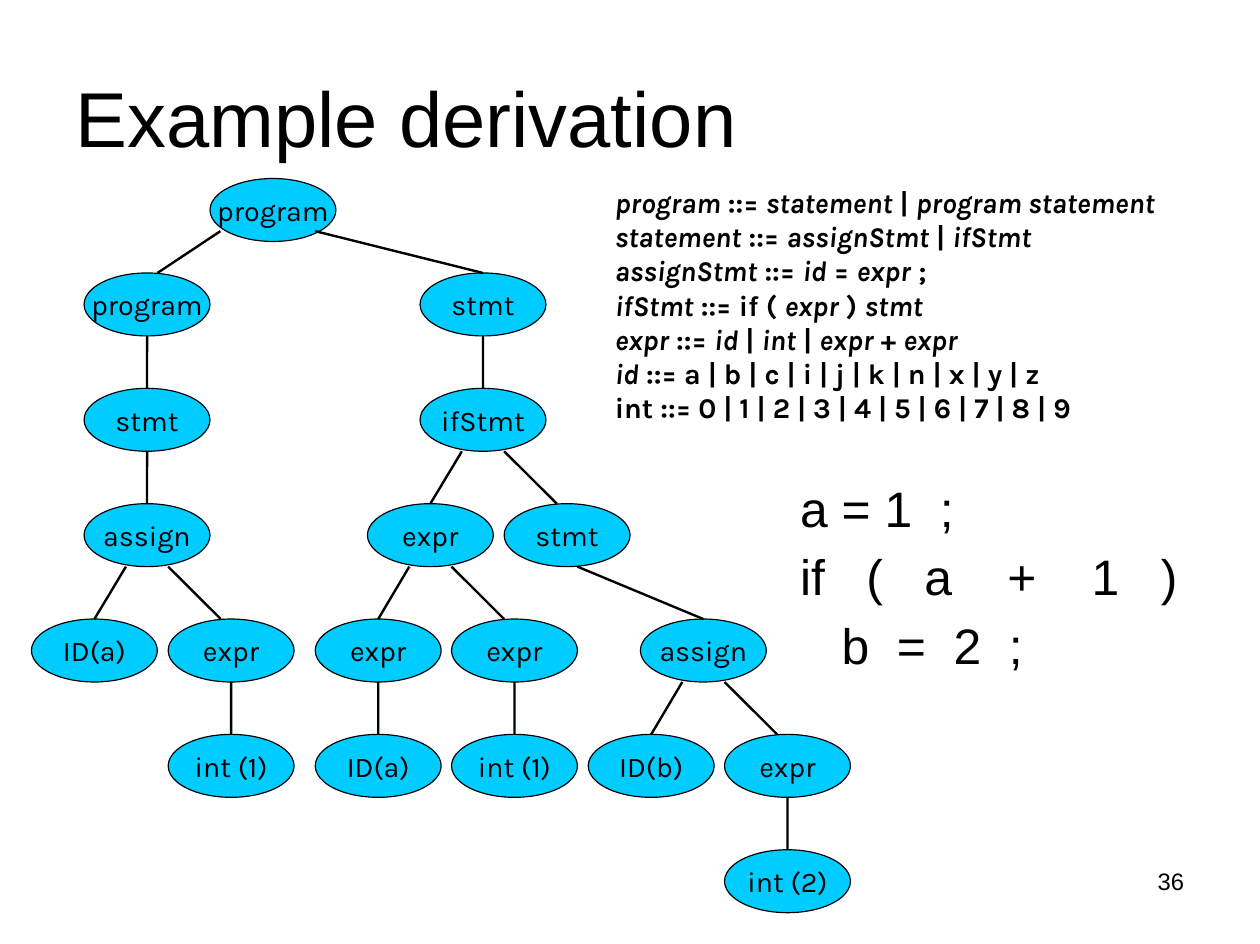
from dataclasses import dataclass
from typing import NamedTuple

from lxml import etree
from pptx import Presentation
from pptx import util as u
from pptx.dml.color import RGBColor
from pptx.enum import shapes, text
from pptx.oxml.ns import qn

COLOURS = {"ink": "000000", "node": "00CCFF"}
SLIDE_WIDTH, SLIDE_HEIGHT = u.Emu(10085388), u.Emu(7556500)
NODE_WIDTH, NODE_HEIGHT = 2.8, 1.4
ROOT_TOP, FIRST_TOP, LEVEL_STEP = 3.97, 6.07, 2.565


class Branch(NamedTuple):
    """Offsets in cm: start from the parent's bottom, end from the child's top."""
    start: float = 0
    rise: float = 0
    end: float = 0


STRAIGHT = Branch()
LEFT = Branch(start=-0.47)
RIGHT = Branch(start=0.47, end=-0.23)
SLANT = Branch(start=0.23)
ROOT_LEFT = Branch(start=-1.17, rise=0.23, end=0.23)
ROOT_RIGHT = Branch(start=0.94, rise=0.23)


@dataclass
class Node:
    label: str
    centre: float
    branch: Branch = STRAIGHT
    children: tuple["Node", ...] = ()


class Area(NamedTuple):
    left: float
    top: float
    width: float
    height: float


TREE = Node("program", 6.07, children=(
    Node("program", 3.27, ROOT_LEFT, (
        Node("stmt", 3.27, children=(
            Node("assign", 3.27, children=(
                Node("ID(a)", 2.1, LEFT),
                Node("expr", 5.14, RIGHT, (Node("int (1)", 5.14),)),
            )),
        )),
    )),
    Node("stmt", 10.74, ROOT_RIGHT, (
        Node("ifStmt", 10.74, children=(
            Node("expr", 9.57, LEFT, (
                Node("expr", 8.41, LEFT, (Node("ID(a)", 8.41),)),
                Node("expr", 11.44, RIGHT, (Node("int (1)", 11.44),)),
            )),
            Node("stmt", 12.61, RIGHT, (
                Node("assign", 15.64, SLANT, (
                    Node("ID(b)", 14.48, LEFT),
                    Node("expr", 17.51, RIGHT, (Node("int (2)", 17.51),)),
                )),
            )),
        )),
    )),
))

# Asterisks enclose the italic words
GRAMMAR = (
    "*program* ::= *statement* | *program statement*",
    "*statement* ::= *assignStmt* | *ifStmt*",
    "*assignStmt* ::= *id* = *expr* ;",
    "*ifStmt* ::= if ( *expr* ) *stmt*",
    "*expr* ::= *id* | *int* | *expr* + *expr*",
    "*id* ::= a | b | c | i | j | k | n | x | y | z",
    "int ::= 0 | 1 | 2 | 3 | 4 | 5 | 6 | 7 | 8 | 9",
)
CODE = "a = 1  ;\nif   (   a    +    1   )\n   b  =  2  ;"


def colour(name: str) -> RGBColor:
    return RGBColor.from_string(COLOURS[name])


def place(box, area: Area) -> None:
    box.left, box.top, box.width, box.height = map(u.Cm, area)


def set_frame(frame, anchor=text.MSO_ANCHOR.TOP, wrap: bool = True) -> None:
    frame.auto_size = text.MSO_AUTO_SIZE.NONE
    frame.word_wrap = wrap
    frame.vertical_anchor = anchor
    frame.margin_left = frame.margin_right = u.Cm(0.28)
    frame.margin_top = frame.margin_bottom = u.Cm(0.14)


def style(frame, size: float, family: str, align) -> None:
    for para in frame.paragraphs:
        para.alignment = align
        for span in para.runs:
            span.font.size = u.Pt(size)
            span.font.name = family
            span.font.color.rgb = colour("ink")


def add_text(page, area: Area):
    box = page.shapes.add_textbox(*map(u.Cm, area))
    set_frame(box.text_frame)
    return box.text_frame


def level_top(level: int) -> float:
    return FIRST_TOP + (level - 1) * LEVEL_STEP if level else ROOT_TOP


def draw_node(page, node: Node, level: int = 0):
    top = level_top(level)
    area = Area(node.centre - NODE_WIDTH / 2, top, NODE_WIDTH, NODE_HEIGHT)
    oval = page.shapes.add_shape(shapes.MSO_SHAPE.OVAL, *map(u.Cm, area))
    oval.shadow.inherit = False
    oval.fill.solid()
    oval.fill.fore_color.rgb = colour("node")
    oval.line.color.rgb = colour("ink")
    oval.line.width = u.Pt(0.75)
    oval.text_frame.text = node.label
    set_frame(oval.text_frame, text.MSO_ANCHOR.MIDDLE, wrap=False)
    style(oval.text_frame, 18, "Karla", text.PP_ALIGN.CENTER)

    for child in node.children:
        child_oval = draw_node(page, child, level + 1)
        start, rise, end = child.branch
        ends = (node.centre + start, top + NODE_HEIGHT - rise,
                child.centre + end, level_top(level + 1))
        link = page.shapes.add_connector(
            shapes.MSO_CONNECTOR.STRAIGHT, *map(u.Cm, ends))
        if end == 0:
            link.end_connect(child_oval, 0)
        link.line.color.rgb = colour("ink")
        link.line.width = u.Pt(1.5)
        etree.SubElement(link._element.spPr, qn("a:effectLst"))
    return oval


def draw_grammar(page) -> None:
    frame = add_text(page, Area(13.39, 3.97, 14.62, 7.21))
    for index, rule in enumerate(GRAMMAR):
        para = frame.add_paragraph() if index else frame.paragraphs[0]
        for part, words in enumerate(rule.split("*")):
            if words:
                span = para.add_run()
                span.text = words
                span.font.bold = True
                span.font.italic = part % 2 == 1
    style(frame, 18, "Karla", text.PP_ALIGN.LEFT)


def draw_code(body) -> None:
    place(body, Area(17.51, 10.48, 9.58, 5.59))
    frame = body.text_frame
    frame.text = CODE
    set_frame(frame)
    for index, para in enumerate(frame.paragraphs):
        properties = para._p.get_or_add_pPr()
        properties.set("marL", "0")
        properties.set("indent", "0")
        etree.SubElement(properties, qn("a:buNone"))
        para.space_before = u.Pt(5.5 if index else 0)
    style(frame, 31.4, "Arial", text.PP_ALIGN.JUSTIFY)


def main() -> None:
    deck = Presentation()
    deck.slide_width, deck.slide_height = SLIDE_WIDTH, SLIDE_HEIGHT
    page = deck.slides.add_slide(deck.slide_layouts[1])

    # Title
    title = page.shapes.title
    place(title, Area(1.4, 0.84, 25.22, 3.5))
    title.text_frame.text = "Example derivation"
    set_frame(title.text_frame, text.MSO_ANCHOR.MIDDLE)
    style(title.text_frame, 49, "Arial", text.PP_ALIGN.LEFT)

    # Program, its grammar and its parse tree
    draw_code(page.placeholders[1])
    draw_grammar(page)
    draw_node(page, TREE)

    # Page number
    number = add_text(page, Area(20.08, 19.13, 6.53, 1.45))
    number.text = "36"
    style(number, 15, "Arial", text.PP_ALIGN.RIGHT)

    deck.save("out.pptx")


if __name__ == "__main__":
    main()
